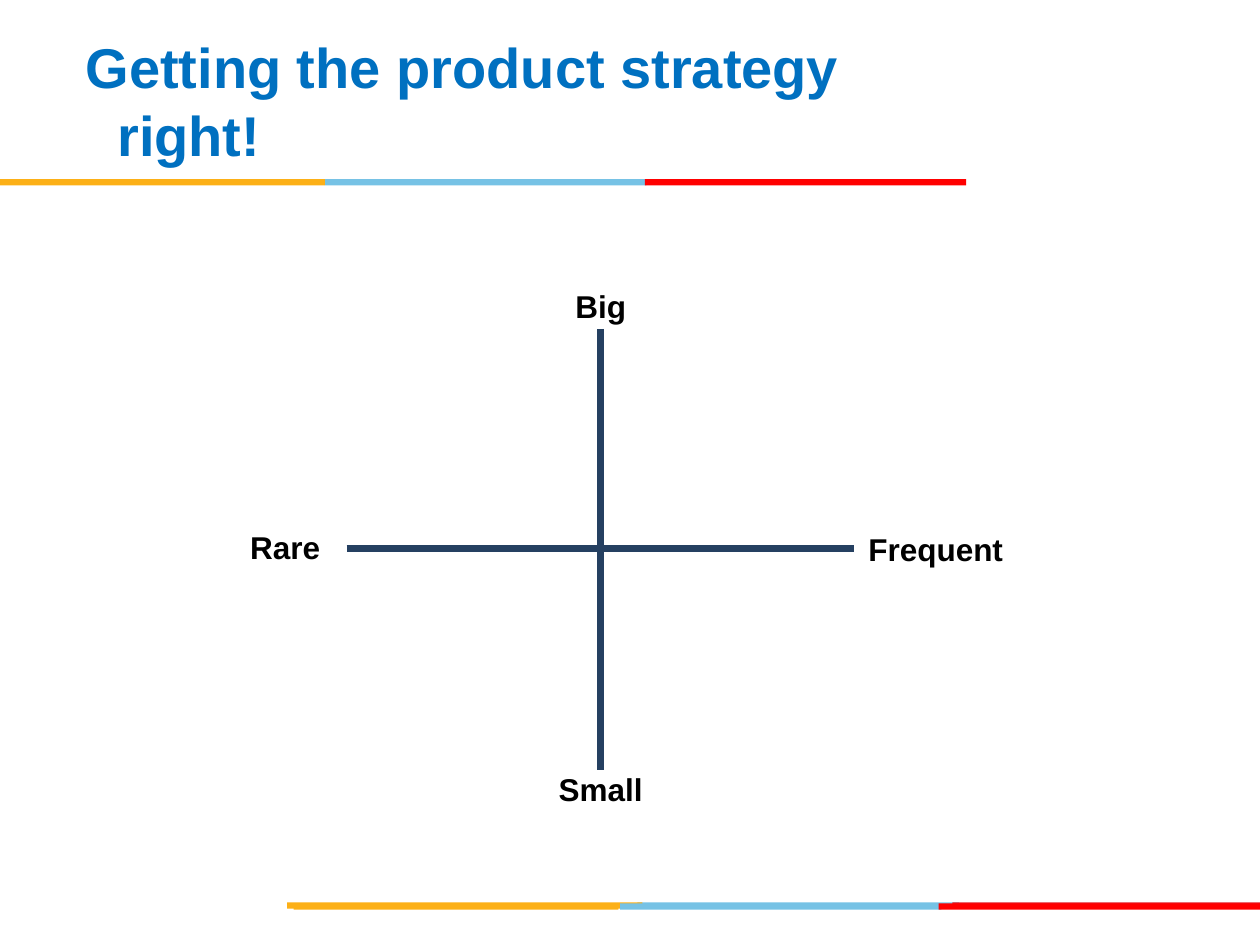
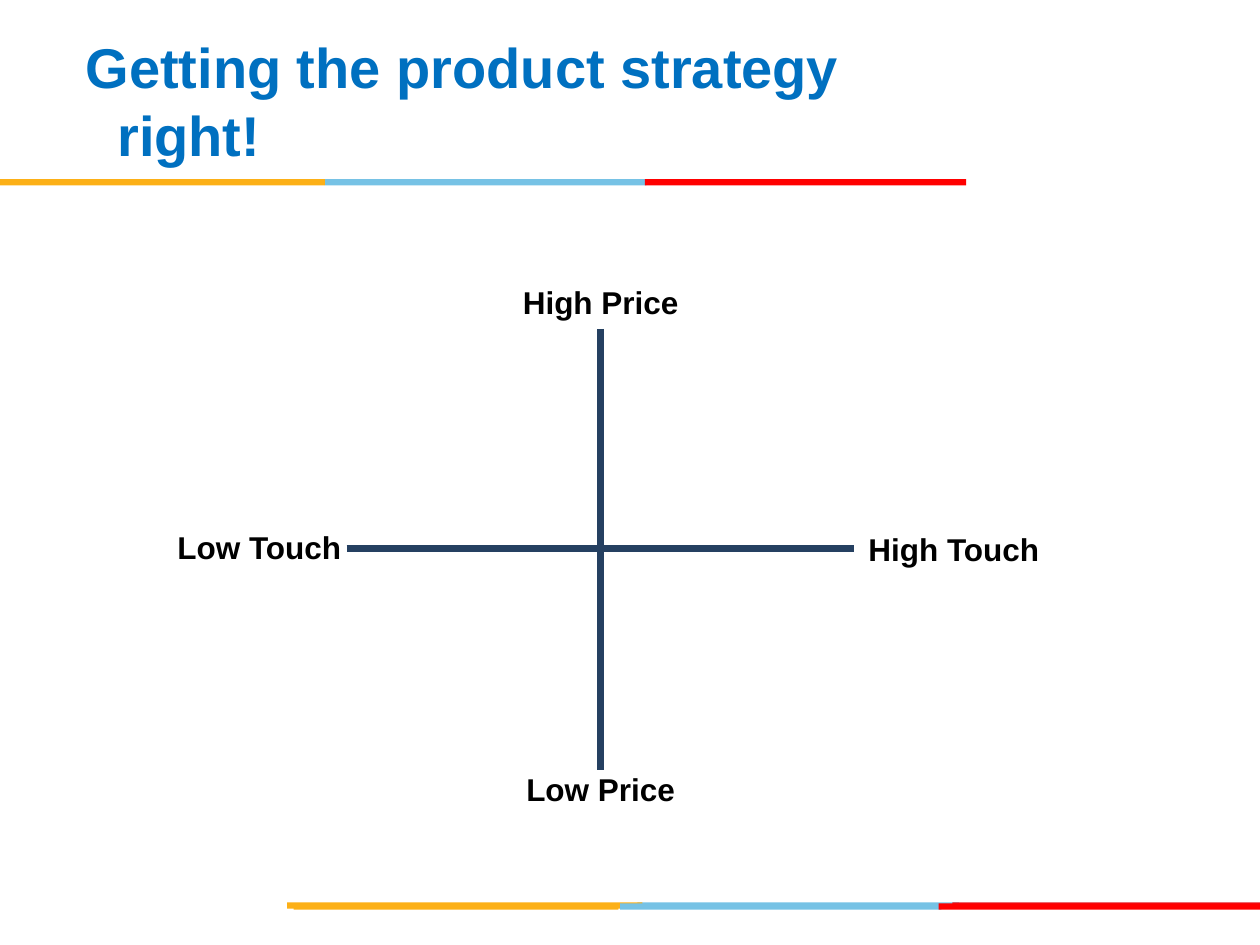
from pptx import Presentation
from pptx.dml.color import RGBColor
from pptx.enum.shapes import MSO_CONNECTOR, MSO_SHAPE
from pptx.enum.text import MSO_ANCHOR, MSO_AUTO_SIZE, PP_ALIGN
from pptx.oxml.ns import qn
from pptx.util import Cm, Pt
from lxml import etree

RECTANGLE = MSO_SHAPE.RECTANGLE
STRAIGHT = MSO_CONNECTOR.STRAIGHT
MIDDLE = MSO_ANCHOR.MIDDLE
LEFT, CENTRE = PP_ALIGN.LEFT, PP_ALIGN.CENTER
FIXED, GROW = MSO_AUTO_SIZE.NONE, MSO_AUTO_SIZE.SHAPE_TO_FIT_TEXT

AMBER, SKY, RED, CRIMSON = "FCB017", "76C2E5", "FF0000", "E31C24"
BLUE, NAVY, BLACK = "0070C0", "254061", "000000"

BAND_HEIGHT = 0.13
BANDS = [
    (18.19, [(12.85, 6.48, SKY), (19.2, 6.2, CRIMSON), (5.79, 7.16, AMBER)]),
    (18.21, [(12.5, 6.48, SKY), (5.92, 6.55, AMBER), (18.92, 6.48, RED)]),
    (3.61, [(6.55, 6.48, SKY), (0, 6.55, AMBER), (13, 6.48, RED)]),
]

AXIS_X, AXIS_Y = 12.11, 11.05
AXIS_TOP, AXIS_BOTTOM = 6.63, 15.52
AXIS_LEFT, AXIS_RIGHT = 6.99, 17.22
LEFT_LABEL_END, RIGHT_LABEL_START = 7.34, 16.87

TITLE = "Getting the product strategy right!"
MATRICES = [
    {"top": ("Big", 3.18, 5.66), "left": ("Rare", 3.18, 10.52),
     "right": ("Frequent", 3.99, 10.57), "bottom": ("Small", 3.18, 15.39)},
    {"top": ("High Price", 4.24, 5.59), "left": ("Low Touch", 4.22, 10.52),
     "right": ("High Touch", 4.72, 10.57), "bottom": ("Low Price", 4.93, 15.39)},
]


def colour(hex_value):
    """Turn a hex string into a colour."""
    return RGBColor.from_string(hex_value)


def apply(target, values):
    """Set every attribute named in the format values."""
    for name, value in values.items():
        setattr(target, name, value)


class Deck:
    """Hold the presentation style and the current slide."""

    title_font = {"name": "Arial", "size": Pt(32), "bold": True}
    label_font = {"name": "Arial", "size": Pt(18), "bold": True}

    def __init__(self):
        """Open an empty 4:3 presentation with a clean title layout."""
        self.prs = Presentation()
        apply(self.prs, {"slide_width": Cm(25.4), "slide_height": Cm(19.05)})
        self.layout = self.prs.slide_layouts.get_by_name("Title Only")
        for holder in list(self.layout.placeholders):
            if holder.placeholder_format.idx:
                self.layout.shapes.element.remove(holder.element)
        self.slide = None

    def new_slide(self):
        """Start a slide and make it current."""
        self.slide = self.prs.slides.add_slide(self.layout)

    def layout_band(self, left, top, width, fill):
        """Place a coloured band on the shared layout."""
        band = self.slide.shapes.add_shape(
            RECTANGLE, Cm(left), Cm(top), Cm(width), Cm(BAND_HEIGHT))
        band.shadow.inherit = False
        band.fill.solid()
        band.fill.fore_color.rgb = colour(fill)
        band.line.fill.background()
        self.layout.shapes.element.append(band.element)

    def fill_text(self, frame, text, font, hex_value, align):
        """Fill a text frame with one formatted paragraph."""
        paragraph = frame.paragraphs[0]
        paragraph.alignment = align
        run = paragraph.add_run()
        run.text = text
        apply(run.font, font)
        run.font.color.rgb = colour(hex_value)
        return paragraph

    def title(self, text):
        """Set the slide title with its hanging indent."""
        heading = self.slide.shapes.title
        apply(heading, {"left": Cm(0.84), "top": Cm(0.43),
                        "width": Cm(17.58), "height": Cm(3.18)})
        frame = heading.text_frame
        apply(frame, {"vertical_anchor": MIDDLE, "auto_size": FIXED,
                      "word_wrap": True})
        paragraph = self.fill_text(frame, text, self.title_font, BLUE, LEFT)
        properties = paragraph._p.get_or_add_pPr()
        properties.set("marL", str(Cm(1.27)))
        properties.set("indent", str(-Cm(0.64)))

    def axis(self, x1, y1, x2, y2):
        """Draw one axis of the matrix."""
        line = self.slide.shapes.add_connector(
            STRAIGHT, Cm(x1), Cm(y1), Cm(x2), Cm(y2))
        line.line.width = Pt(4)
        line.line.color.rgb = colour(NAVY)
        etree.SubElement(line.element.spPr, qn("a:effectLst"))

    def label(self, text, left, top, width):
        """Place a centred label at the end of an axis."""
        box = self.slide.shapes.add_textbox(
            Cm(left), Cm(top), Cm(width), Cm(1.02))
        apply(box.text_frame, {"word_wrap": True, "auto_size": GROW})
        self.fill_text(box.text_frame, text, self.label_font, BLACK, CENTRE)

    def matrix(self, labels):
        """Draw both axes and their four end labels."""
        self.axis(AXIS_X, AXIS_TOP, AXIS_X, AXIS_BOTTOM)
        self.axis(AXIS_LEFT, AXIS_Y, AXIS_RIGHT, AXIS_Y)
        for side, (text, width, top) in labels.items():
            left = {"left": LEFT_LABEL_END - width,
                    "right": RIGHT_LABEL_START}.get(side, AXIS_X - width / 2)
            self.label(text, left, top, width)


def main():
    """Build and save the presentation."""
    deck = Deck()
    for number, labels in enumerate(MATRICES):
        deck.new_slide()
        if number == 0:
            for top, bands in BANDS:
                for left, width, fill in bands:
                    deck.layout_band(left, top, width, fill)
        deck.title(TITLE)
        deck.matrix(labels)
    deck.prs.save("out.pptx")


if __name__ == "__main__":
    main()
